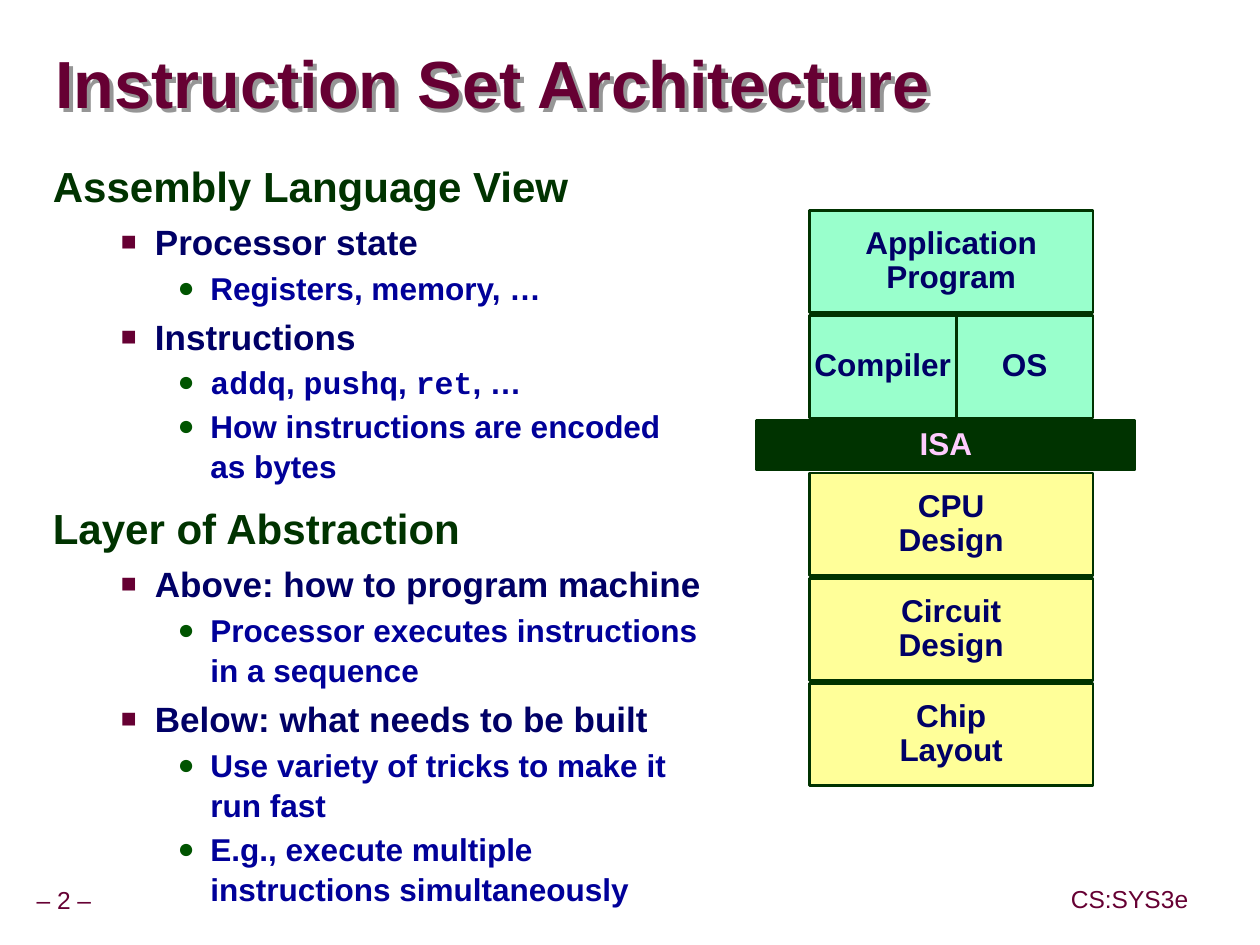
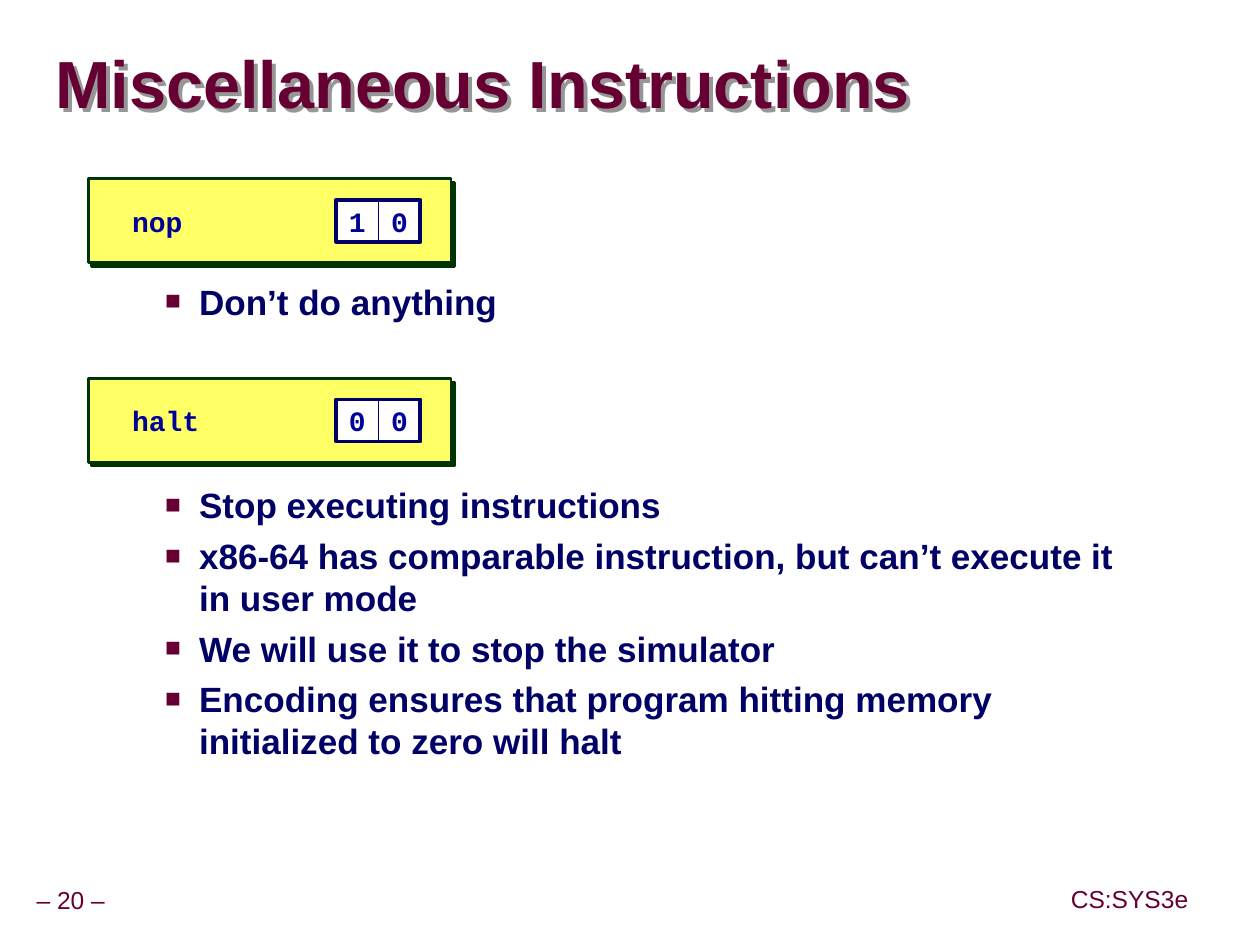
from dataclasses import dataclass

from lxml import etree
from pptx import Presentation, util as u
from pptx.dml.color import RGBColor
from pptx.enum import shapes, text
from pptx.oxml import ns

COLORS = {
    "wine": "660033", "forest": "003300", "leaf": "005400", "navy": "000066",
    "blue": "000099", "mint": "99FFCC", "cream": "FFFF99", "lemon": "FFFF66",
    "white": "FFFFFF", "pink": "FFCCFF", "gray": "969696",
}
SANS, MONO = "Arial", "Courier New"
LEFT, CENTER = text.PP_ALIGN.LEFT, text.PP_ALIGN.CENTER
TOP, MIDDLE = text.MSO_ANCHOR.TOP, text.MSO_ANCHOR.MIDDLE


# --- Grid and styles ---
@dataclass(frozen=True)
class Area:
    """Column, row, width and height on a grid of twelve cells an inch."""
    col: float
    row: float
    cols: float
    rows: float

    def lengths(self) -> list[u.Length]:
        return [u.Inches(n / 12) for n in (self.col, self.row, self.cols, self.rows)]


@dataclass(frozen=True)
class Style:
    size: float
    color: str
    name: str = SANS
    bold: bool = True
    spacing: float = 1.0
    align: text.PP_ALIGN = LEFT
    before: float = 0
    margin: float = 0
    hanging: float = 0
    bullet: str = ""
    bullet_color: str = ""
    bullet_percent: int = 100


TITLE = Style(38, "wine", spacing=0.87)
FOOTER = Style(14, "wine", bold=False, spacing=0.9)
LAYER = Style(18, "navy", spacing=0.9, align=CENTER)
INTERFACE = Style(18, "pink", spacing=0.9, align=CENTER)
MNEMONIC = Style(16, "blue", MONO)
NIBBLE = Style(16, "blue", MONO, align=CENTER)
HEADING = Style(24, "forest", spacing=0.95, before=12, margin=0.42, hanging=0.42)
POINT = Style(20, "navy", before=5, margin=0.81, hanging=0.27,
              bullet="■", bullet_color="wine", bullet_percent=75)
DETAIL = Style(18, "blue", spacing=1.07, before=1.8, margin=1.25, hanging=0.26,
               bullet="●", bullet_color="leaf", bullet_percent=90)


@dataclass(frozen=True)
class Line:
    words: str  # code stands between backticks
    style: Style
    before: float | None = None


@dataclass(frozen=True)
class Layer:
    words: str
    area: Area
    fill: str
    style: Style = LAYER
    outline: str = "forest"


@dataclass(frozen=True)
class Encoding:
    mnemonic: str
    nibbles: str
    row: float


# --- Drawing functions ---
def rgb(color: str) -> RGBColor:
    return RGBColor.from_string(COLORS[color])


def add_child(parent, tag: str, **attributes):
    return etree.SubElement(parent, ns.qn(tag), attributes)


def add_shadow(shape, color: str, points: float) -> None:
    shape.shadow.inherit = False
    effects = shape._element.spPr.find(ns.qn("a:effectLst"))
    outer = add_child(effects, "a:outerShdw", dist=str(u.Pt(points)),
                      dir="2700000", algn="ctr", rotWithShape="0")
    add_child(outer, "a:srgbClr", val=COLORS[color])


def set_bullet(paragraph, style: Style) -> None:
    properties = paragraph._p.get_or_add_pPr()
    properties.set("marL", str(u.Inches(style.margin)))
    properties.set("indent", str(-u.Inches(style.hanging)))
    if style.bullet:
        tint = add_child(properties, "a:buClr")
        add_child(tint, "a:srgbClr", val=COLORS[style.bullet_color])
        add_child(properties, "a:buSzPct", val=str(style.bullet_percent * 1000))
        add_child(properties, "a:buFont", typeface=SANS)
        add_child(properties, "a:buChar", char=style.bullet)
    else:
        add_child(properties, "a:buNone")


def write(shape, lines: list[Line], anchor=MIDDLE, wrap: bool = False,
          inset: tuple[float, float] = (0.05, 0.05)) -> None:
    frame = shape.text_frame
    frame.word_wrap, frame.vertical_anchor = wrap, anchor
    frame.margin_left = frame.margin_right = u.Inches(inset[0])
    frame.margin_top = frame.margin_bottom = u.Inches(inset[1])
    for index, line in enumerate(lines):
        style = line.style
        paragraph = frame.add_paragraph() if index else frame.paragraphs[0]
        set_bullet(paragraph, style)
        paragraph.alignment = style.align
        paragraph.line_spacing = style.spacing
        paragraph.space_before = u.Pt(style.before if line.before is None else line.before)
        font = paragraph.font
        font.size, font.bold, font.name = u.Pt(style.size), style.bold, style.name
        font.color.rgb = rgb(style.color)
        for part, words in enumerate(line.words.split("`")):
            run = paragraph.add_run()
            run.text = words
            if part % 2:
                run.font.name = MONO


def add_text(parent, area: Area, lines: list[Line], **options):
    box = parent.shapes.add_textbox(*area.lengths())
    write(box, lines, **options)
    return box


def add_box(parent, area: Area, fill: str | None, outline: str, width: float):
    box = parent.shapes.add_shape(shapes.MSO_SHAPE.RECTANGLE, *area.lengths())
    box.shadow.inherit = False
    if fill:
        box.fill.solid()
        box.fill.fore_color.rgb = rgb(fill)
    else:
        box.fill.background()
    box.line.color.rgb = rgb(outline)
    box.line.width = u.Pt(width)
    return box


def add_layer(parent, layer: Layer) -> None:
    box = add_box(parent, layer.area, layer.fill, layer.outline, 1.5)
    write(box, [Line(words, layer.style) for words in layer.words.split("\n")])


def add_encoding(slide, encoding: Encoding) -> None:
    card = slide.shapes.add_group_shape()
    panel = add_box(card, Area(8.4, encoding.row, 34.5, 8), "lemon", "forest", 1.5)
    add_shadow(panel, "forest", 2.8)
    row, size, first = encoding.row + 2, 4, 32
    add_text(card, Area(11.4, row, 25, size), [Line(encoding.mnemonic, MNEMONIC)],
             inset=(0.1, 0.05))
    for index, nibble in enumerate(encoding.nibbles):
        cell = add_box(card, Area(first + index * size, row, size, size),
                       "white", "navy", 0.5)
        write(cell, [Line(nibble, NIBBLE)])
    add_box(card, Area(first, row, size * len(encoding.nibbles), size), None, "navy", 2.25)


def add_slide(deck, title: str, number: int, body: Area, lines: list[Line]):
    slide = deck.slides.add_slide(deck.slide_layouts[6])
    for words, area in ((f"– {number} –", Area(2.88, 83.88, 12, 3.72)),
                        ("CS:SYS3e", Area(101.28, 83.76, 15, 3.84))):
        add_text(slide, area, [Line(words, FOOTER)], wrap=True)
    heading = add_text(slide, Area(5.28, 3.24, 114.24, 10.2), [Line(title, TITLE)],
                       wrap=True, inset=(0, 0))
    add_shadow(heading, "gray", 3.2)
    add_text(slide, body, lines, anchor=TOP, wrap=True, inset=(0.1, 0.05))
    return slide


deck = Presentation()
deck.slide_width, deck.slide_height = u.Inches(9.99), u.Inches(7.49)

# --- Instruction Set Architecture ---
architecture = add_slide(
    deck, "Instruction Set Architecture", 2, Area(3.84, 15, 64.2, 69.36), [
        Line("Assembly Language View", HEADING),
        Line("Processor state", POINT),
        Line("Registers, memory, …", DETAIL),
        Line("Instructions", POINT),
        Line("`addq`, `pushq`, `ret`, …", DETAIL),
        Line("How instructions are encoded as bytes", DETAIL),
        Line("Layer of Abstraction", HEADING),
        Line("Above: how to program machine", POINT),
        Line("Processor executes instructions in a sequence", DETAIL),
        Line("Below: what needs to be built", POINT),
        Line("Use variety of tricks to make it run fast", DETAIL),
        Line("E.g., execute multiple instructions simultaneously", DETAIL),
    ])

# Layers sit ten rows apart, with the interface between software and hardware
STACK_COL, STACK_COLS, LAYER_ROWS, PITCH = 77, 27, 9.75, 10
SOFTWARE_ROW, HARDWARE_ROW = 20, 45
stack = architecture.shapes.add_group_shape()
layers = [
    Layer("ISA", Area(72, 40, 36, 4.7), "forest", INTERFACE),
    Layer("Application\nProgram", Area(STACK_COL, SOFTWARE_ROW, STACK_COLS, LAYER_ROWS), "mint"),
    Layer("Compiler", Area(STACK_COL, SOFTWARE_ROW + PITCH, 14, LAYER_ROWS), "mint"),
    Layer("OS", Area(STACK_COL + 14, SOFTWARE_ROW + PITCH, 13, LAYER_ROWS), "mint"),
]
layers += [
    Layer(words, Area(STACK_COL, HARDWARE_ROW + step * PITCH, STACK_COLS, LAYER_ROWS), "cream")
    for step, words in enumerate(("CPU\nDesign", "Circuit\nDesign", "Chip\nLayout"))
]
for layer in layers:
    add_layer(stack, layer)

# --- Miscellaneous Instructions ---
miscellaneous = add_slide(
    deck, "Miscellaneous Instructions", 20, Area(8.04, 26.04, 101.04, 20.4), [
        Line("Don’t do anything", POINT),
        Line("Stop executing instructions", POINT, before=92),
        Line("x86-64 has comparable instruction, but can’t execute it in user mode", POINT),
        Line("We will use it to stop the simulator", POINT),
        Line("Encoding ensures that program hitting memory initialized to zero will halt", POINT),
    ])
for encoding in (Encoding("nop", "10", 17), Encoding("halt", "00", 36)):
    add_encoding(miscellaneous, encoding)

deck.save("out.pptx")
